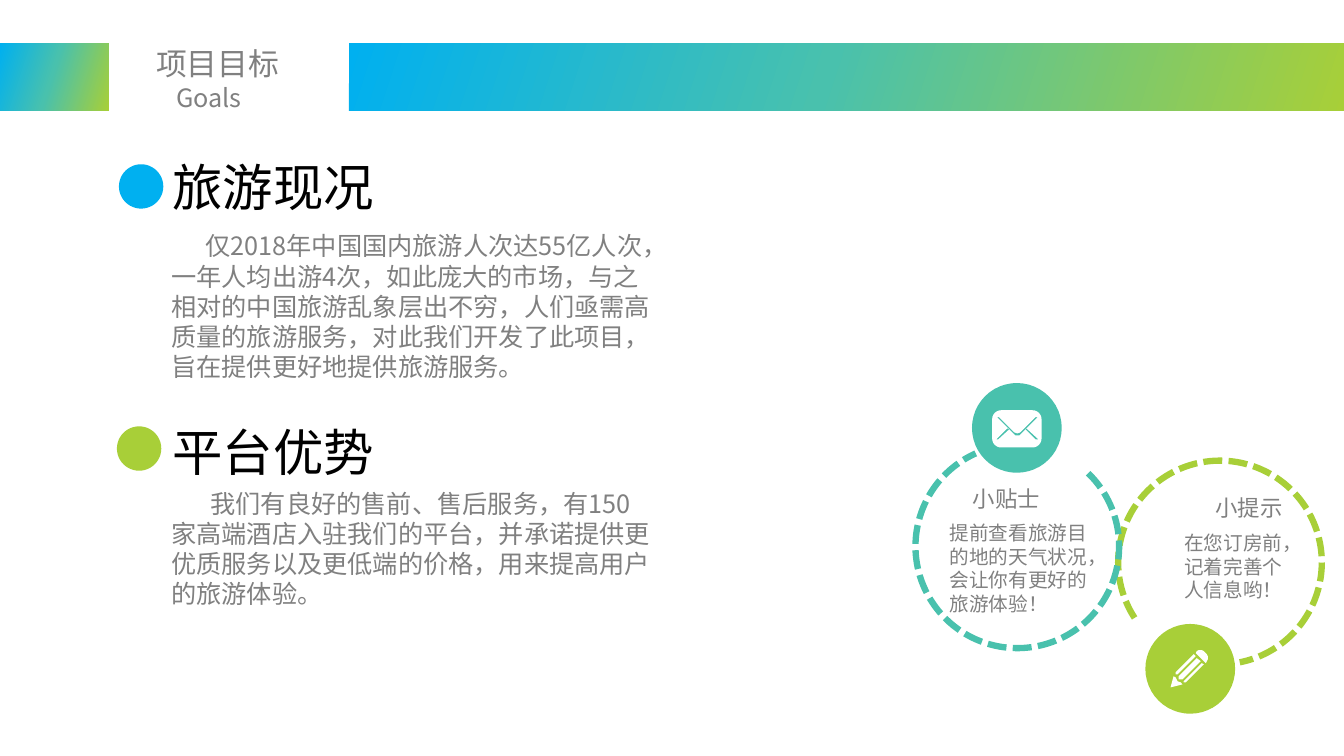
from copy import deepcopy
from math import cos, pi, sin

from lxml import etree
from pptx import Presentation
from pptx.dml.color import RGBColor
from pptx.enum.dml import MSO_LINE
from pptx.enum.shapes import MSO_SHAPE
from pptx.enum.text import MSO_ANCHOR, MSO_AUTO_SIZE, PP_ALIGN
from pptx.oxml.ns import qn
from pptx.util import Inches, Pt

RECT, OVAL, ARC = MSO_SHAPE.RECTANGLE, MSO_SHAPE.OVAL, MSO_SHAPE.ARC
LEFT, RIGHT = PP_ALIGN.LEFT, PP_ALIGN.RIGHT
TOP = MSO_ANCHOR.TOP
FIXED = MSO_AUTO_SIZE.NONE
DASH = MSO_LINE.SQUARE_DOT

FONT = "Noto Sans CJK SC"
COLORS = {"blue": "00B0F0", "teal": "49C1AD", "green": "A8CF38",
          "gray": "808080", "black": "000000", "white": "FFFFFF"}

FLAPS = [
    [(10.18, 4.25), (10.17, 4.26), (10.27, 4.36), (10.3, 4.36)],
    [(9.99, 4.25), (9.88, 4.36), (9.9, 4.36), (10.01, 4.26)],
    [(9.89, 4.14), (10.05, 4.3), (10.07, 4.32), (10.09, 4.32),
     (10.11, 4.32), (10.13, 4.3), (10.29, 4.14), (10.27, 4.14),
     (10.12, 4.29), (10.09, 4.3), (10.06, 4.29), (9.91, 4.14)],
]
PENCIL = [
    [(11.97, 6.56), (11.96, 6.58), (11.86, 6.48), (11.87, 6.46),
     (11.89, 6.45), (11.92, 6.45), (11.94, 6.46), (11.97, 6.49),
     (11.98, 6.51), (11.98, 6.54)],
    [(11.74, 6.76), (11.74, 6.77), (11.76, 6.77), (11.94, 6.59),
     (11.92, 6.58)],
    [(11.66, 6.67), (11.66, 6.69), (11.68, 6.69), (11.86, 6.51),
     (11.84, 6.49)],
    [(11.87, 6.53), (11.69, 6.71), (11.69, 6.74), (11.73, 6.74),
     (11.91, 6.56)],
    [(11.73, 6.79), (11.71, 6.77), (11.68, 6.76), (11.66, 6.72),
     (11.64, 6.71), (11.61, 6.82)],
]


def tint(name):
    """Return a named colour."""
    return RGBColor.from_string(COLORS[name])


def box(at):
    """Turn left, top, width and height into lengths."""
    return [Inches(v) for v in at]


def paint(shape, color):
    """Fill a shape flat, with no outline or shadow."""
    shape.shadow.inherit = False
    shape.fill.solid()
    shape.fill.fore_color.rgb = tint(color)
    shape.line.fill.background()


def write(shape, text, size, color="gray", align=LEFT, indent=0):
    """Put one paragraph of styled text in a shape."""
    frame = shape.text_frame
    frame.word_wrap = True
    frame.auto_size = FIXED
    frame.vertical_anchor = TOP
    para = frame.paragraphs[0]
    para.alignment = align
    if indent:
        para._p.get_or_add_pPr().set("indent", str(Inches(indent)))
    run = para.add_run()
    run.text = text
    font = run.font
    font.size, font.name = Pt(size), FONT
    font.color.rgb = tint(color)
    etree.SubElement(run._r.get_or_add_rPr(), qn("a:ea")).set("typeface", FONT)


def label(slide, at, *args, **style):
    """Add a text box."""
    write(slide.shapes.add_textbox(*box(at)), *args, **style)


def band(slide, left, width):
    """Add a header bar with a three-colour gradient."""
    bar = slide.shapes.add_shape(RECT, *box((left, 0.43, width, 0.67)))
    bar.shadow.inherit = False
    bar.line.fill.background()
    fill = bar.fill
    fill.gradient()
    fill.gradient_angle = 342
    stops = bar._element.spPr.find(".//" + qn("a:gsLst"))
    stops.append(deepcopy(stops[0]))
    marks = ((0, "blue"), (0.48, "teal"), (1, "green"))
    for stop, (place, color) in zip(fill.gradient_stops, marks):
        stop.position = place
        stop.color.rgb = tint(color)


def disc(slide, left, top, size, color):
    """Add a filled circle."""
    paint(slide.shapes.add_shape(OVAL, *box((left, top, size, size))), color)


def ring(slide, left, top, turn, color):
    """Add a dashed open ring."""
    arc = slide.shapes.add_shape(ARC, *box((left, top, 2.02, 2.02)))
    arc.shadow.inherit = False
    arc.adjustments[0] = 68.178 * 0.6
    arc.rotation = turn
    arc.fill.background()
    arc.line.color.rgb = tint(color)
    arc.line.width = Pt(4.5)
    arc.line.dash_style = DASH


def rounded(left, top, width, height, rad):
    """Return the points of a box with round corners."""
    right, low = left + width - rad, top + height - rad
    hubs = ((right, low), (left + rad, low),
            (left + rad, top + rad), (right, top + rad))
    return [(x + rad * cos(a), y + rad * sin(a))
            for turn, (x, y) in enumerate(hubs)
            for a in ((turn + step / 6) * pi / 2 for step in range(7))]


def icon(slide, loops):
    """Draw closed loops as one white shape."""
    paths = [[(Inches(x), Inches(y)) for x, y in loop] for loop in loops]
    pen = slide.shapes.build_freeform(*paths[0][0])
    pen.add_line_segments(paths[0][1:])
    for path in paths[1:]:
        pen.move_to(*path[0])
        pen.add_line_segments(path[1:])
    paint(pen.convert_to_shape(), "white")


def header(slide):
    """Build the title and its gradient bars."""
    band(slide, 0, 1.08)
    band(slide, 3.46, 9.88)
    title = slide.shapes.title
    title.left, title.top, title.width, title.height = box(
        (1.26, 0.39, 2.15, 0.47))
    write(title, "项目目标", 22, indent=0.19)
    label(slide, (1.27, 0.77, 2.14, 0.4), "Goals", 18, indent=0.38)


def tips(slide):
    """Build the two linked tip rings."""
    ring(slide, 11.09, 4.57, 78.8, "green")
    ring(slide, 9.08, 4.41, 245.9, "teal")
    disc(slide, 9.64, 3.8, 0.89, "teal")
    disc(slide, 11.36, 6.19, 0.89, "green")
    label(slide, (9.31, 4.76, 1.76, 0.37), "小贴士", 16, indent=0.24)
    label(slide, (9.32, 5.12, 1.6, 1.04),
          "提前查看旅游目的地的天气状况，会让你有更好的旅游体验！", 14)
    label(slide, (11.06, 4.85, 1.76, 0.37), "小提示", 16, align=RIGHT)
    label(slide, (11.49, 5.22, 1.33, 0.81),
          "在您订房前，记着完善个人信息哟！", 14, align=RIGHT)
    icon(slide, [rounded(9.84, 4.07, 0.49, 0.37, 0.09)] + FLAPS)
    icon(slide, PENCIL)


def main():
    """Build and save the slide."""
    deck = Presentation()
    deck.slide_width, deck.slide_height = Inches(13.33), Inches(7.5)
    slide = deck.slides.add_slide(deck.slide_layouts[5])
    header(slide)
    tips(slide)
    label(slide, (1.61, 1.5, 2.74, 0.71), "旅游现况", 36, "black")
    label(slide, (1.6, 2.24, 4.97, 1.61),
          "仅2018年中国国内旅游人次达55亿人次，一年人均出游4次，"
          "如此庞大的市场，与之相对的中国旅游乱象层出不穷，"
          "人们亟需高质量的旅游服务，对此我们开发了此项目，"
          "旨在提供更好地提供旅游服务。", 18, indent=0.34)
    label(slide, (1.61, 4.13, 2.99, 0.71), "平台优势", 36, "black")
    label(slide, (1.6, 4.79, 4.97, 1.31),
          "我们有良好的售前、售后服务，有150家高端酒店入驻我们的平台，"
          "并承诺提供更优质服务以及更低端的价格，"
          "用来提高用户的旅游体验。", 18, indent=0.39)
    disc(slide, 1.18, 1.63, 0.44, "blue")
    disc(slide, 1.16, 4.23, 0.44, "green")
    deck.save("out.pptx")


if __name__ == "__main__":
    main()
